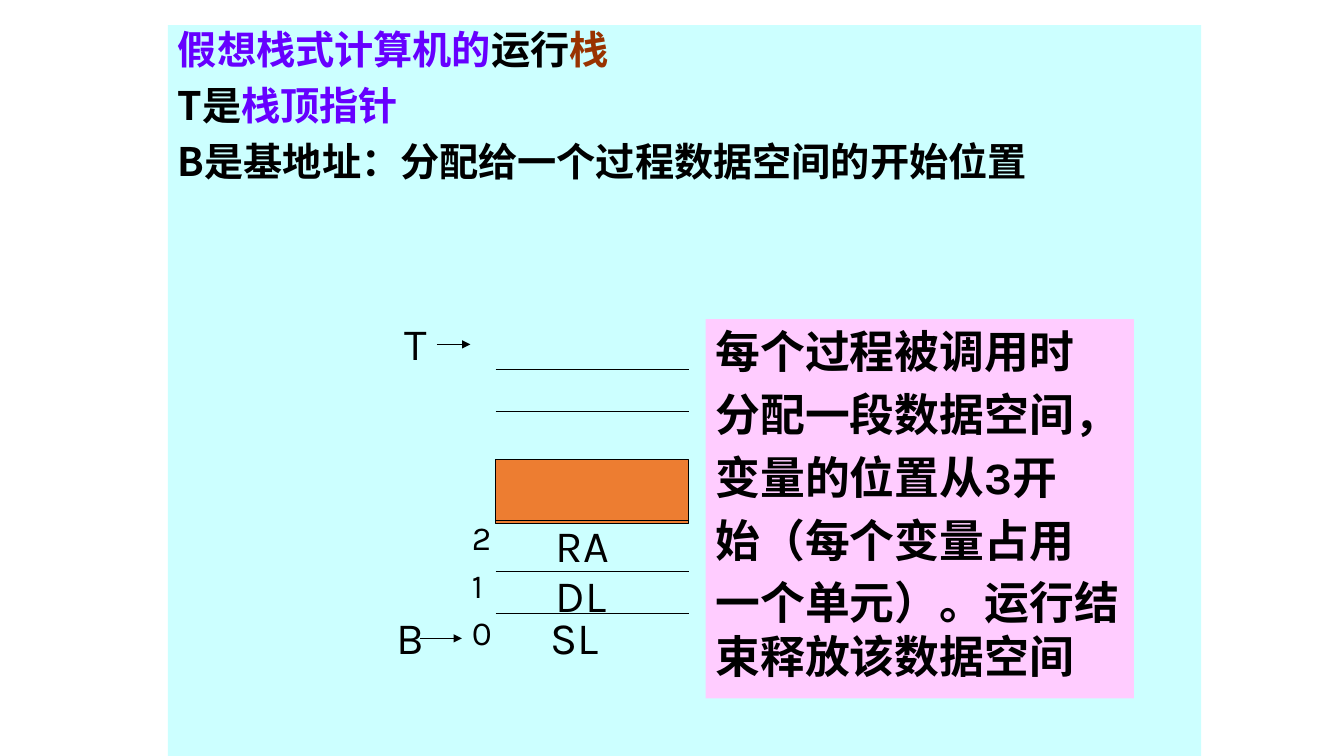
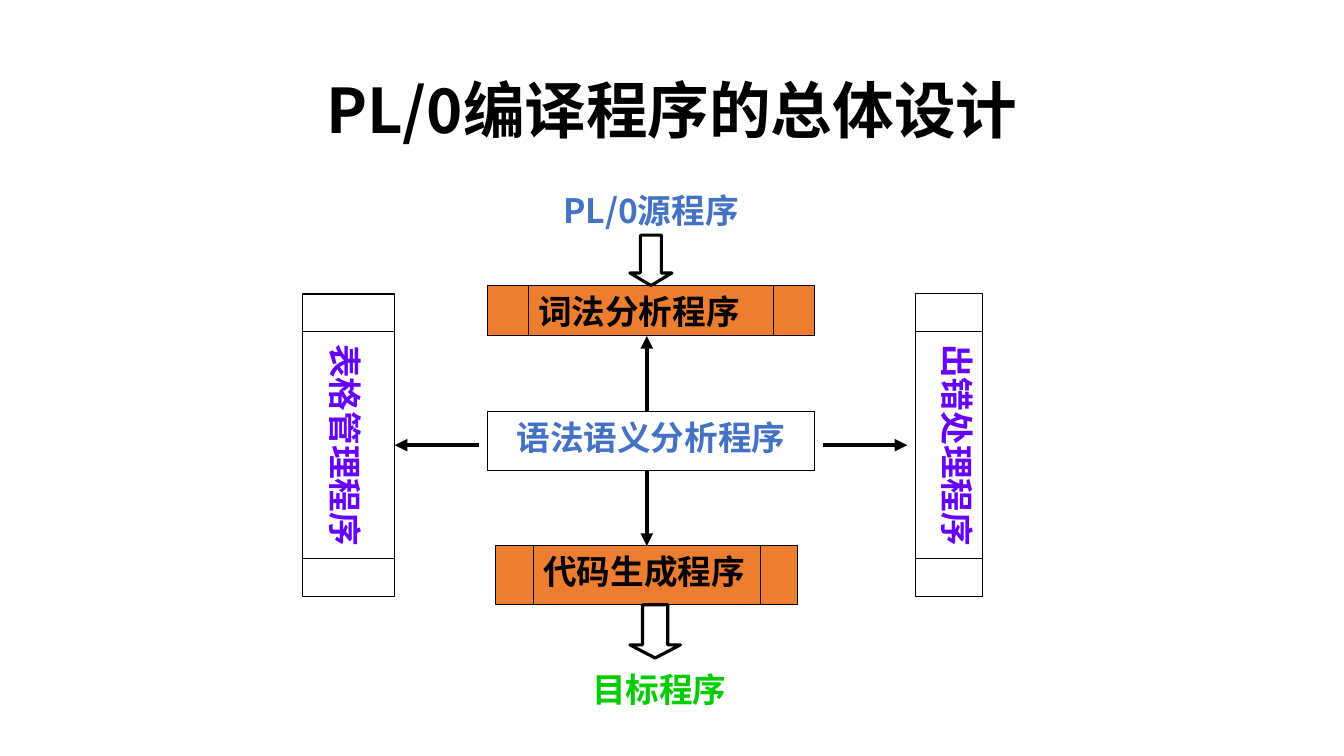
import dataclasses

import lxml.etree
import pptx
import pptx.dml.color
import pptx.enum.shapes
import pptx.enum.text
import pptx.oxml.ns
import pptx.util

Pt = pptx.util.Pt
qn = pptx.oxml.ns.qn
Shape = pptx.enum.shapes.MSO_SHAPE
Align = pptx.enum.text.PP_ALIGN
Anchor = pptx.enum.text.MSO_ANCHOR


@dataclasses.dataclass(frozen=True)
class Theme:
    # Colours
    black: str = "000000"
    white: str = "FFFFFF"
    violet: str = "6600FF"
    brown: str = "993300"
    blue: str = "4472C4"
    green: str = "00CC00"
    orange: str = "ED7D31"
    cyan: str = "CCFFFF"
    pink: str = "FFCCFF"
    # Fonts
    cjk: str = "Noto Sans CJK SC"
    latin: str = "Karla"
    serif: str = "Times New Roman"
    # Type sizes
    title: int = 44
    large: int = 32
    body: int = 28
    label: int = 24
    # Line widths
    thin: float = 0.75
    outline: float = 2.25
    thick: float = 3


THEME = Theme()


@dataclasses.dataclass(frozen=True)
class TextStyle:
    size: int
    font: str
    color: str = THEME.black
    bold: bool = True
    align: Align = Align.LEFT
    anchor: Anchor = Anchor.TOP
    before: float = 0
    spacing: float = 1
    top_inset: float = 3.6


class Deck:
    """Holds the theme, the presentation and the current slide."""

    def __init__(self, theme):
        self.theme = theme
        self.presentation = pptx.Presentation()
        self.presentation.slide_width = Pt(960)
        self.presentation.slide_height = Pt(540)
        self.slide = None

    def new_slide(self):
        blank = self.presentation.slide_layouts[6]
        self.slide = self.presentation.slides.add_slide(blank)

    def color(self, value):
        return pptx.dml.color.RGBColor.from_string(value)

    def fill_text(self, frame, paragraphs, style, wrap=True):
        """Each paragraph is a list of (text, colour) runs or a plain string."""
        frame.word_wrap = wrap
        frame.vertical_anchor = style.anchor
        frame.margin_top = Pt(style.top_inset)
        for index, runs in enumerate(paragraphs):
            paragraph = frame.add_paragraph() if index else frame.paragraphs[0]
            paragraph.alignment = style.align
            paragraph.line_spacing = style.spacing
            if index:
                paragraph.space_before = Pt(style.before)
            if isinstance(runs, str):
                runs = [(runs, style.color)]
            for text, color in runs:
                run = paragraph.add_run()
                run.text = text
                run.font.size = Pt(style.size)
                run.font.bold = style.bold
                run.font.color.rgb = self.color(color)
                run.font.name = style.font
                east_asian = lxml.etree.SubElement(run.font._element, qn("a:ea"))
                east_asian.set("typeface", self.theme.cjk)

    def text(self, box, paragraphs, style, wrap=True):
        frame = self.slide.shapes.add_textbox(*map(Pt, box)).text_frame
        self.fill_text(frame, paragraphs, style, wrap)
        if not wrap:
            frame.auto_size = pptx.enum.text.MSO_AUTO_SIZE.SHAPE_TO_FIT_TEXT

    def shape(self, kind, box, fill, line_width=0, paragraphs=(), style=None,
              rotation=0, adjustments=()):
        shape = self.slide.shapes.add_shape(kind, *map(Pt, box))
        shape.shadow.inherit = False
        shape.rotation = rotation
        shape.fill.solid()
        shape.fill.fore_color.rgb = self.color(fill)
        if line_width:
            shape.line.color.rgb = self.color(self.theme.black)
            shape.line.width = Pt(line_width)
        else:
            shape.line.fill.background()
        for index, value in enumerate(adjustments):
            shape.adjustments[index] = value
        if paragraphs:
            self.fill_text(shape.text_frame, paragraphs, style)

    def line(self, x1, y1, x2, y2, width, arrow=False):
        straight = pptx.enum.shapes.MSO_CONNECTOR.STRAIGHT
        connector = self.slide.shapes.add_connector(
            straight, Pt(x1), Pt(y1), Pt(x2), Pt(y2))
        connector.line.color.rgb = self.color(self.theme.black)
        connector.line.width = Pt(width)
        properties = connector._element.spPr
        if arrow:
            outline = properties.find(qn("a:ln"))
            lxml.etree.SubElement(outline, qn("a:tailEnd")).set("type", "triangle")
        lxml.etree.SubElement(properties, qn("a:effectLst"))


def build_stack_slide(deck):
    t = deck.theme
    deck.new_slide()

    # Introduction on the cyan panel
    introduction = TextStyle(t.body, t.cjk, before=10, spacing=0.9)
    deck.shape(Shape.RECTANGLE, (120, 18, 738, 522), t.cyan, paragraphs=[
        [("假想栈式计算机的", t.violet), ("运行", t.black), ("栈", t.brown)],
        [("T是", t.black), ("栈顶指针", t.violet)],
        "B是基地址：分配给一个过程数据空间的开始位置",
    ], style=introduction)

    # Stack cells
    stack_left, stack_width = 354, 138
    deck.shape(Shape.RECTANGLE, (stack_left, 328, stack_width, 46),
               t.orange, t.thin)
    for y in (264, 294, 372, 408, 438):
        deck.line(stack_left, y, stack_left + stack_width, y, t.thin)

    # Pointers and cell names
    cell = TextStyle(t.large, t.latin, bold=False)
    for name, left, top, width in (
            ("T", 282, 222, 33), ("B", 276, 432, 34),
            ("SL", 386, 432, 50), ("DL", 390, 402, 53), ("RA", 390, 366, 54)):
        deck.text((left, top, width, 46), [name], cell, wrap=False)
    deck.line(312, 246, 336, 246, t.thin, arrow=True)
    deck.line(300, 456, 330, 456, t.thin, arrow=True)
    offset = TextStyle(t.label, t.latin, bold=False, before=4.8)
    deck.text((330, 366, 27, 107), ["2", "1", "0"], offset, wrap=False)

    # Explanation
    explanation = TextStyle(t.large, t.latin, before=6.4)
    deck.shape(Shape.RECTANGLE, (504, 228, 306, 271), t.pink, paragraphs=[
        "每个过程被调用时",
        "分配一段数据空间，",
        "变量的位置从3开",
        "始（每个变量占用",
        "一个单元）。运行结束释放该数据空间",
    ], style=explanation)


def build_design_slide(deck):
    t = deck.theme
    deck.new_slide()

    # Title
    title = TextStyle(t.title, t.cjk, align=Align.CENTER,
                      anchor=Anchor.MIDDLE, spacing=0.9)
    deck.text((66, 29, 828, 104), ["PL/0编译程序的总体设计"], title)

    # Compiler stages
    stage = TextStyle(t.label, t.serif)
    centred = dataclasses.replace(stage, align=Align.CENTER)
    side = dataclasses.replace(centred, color=t.violet)
    predefined = Shape.FLOWCHART_PREDEFINED_PROCESS
    for kind, box, fill, name, style, rotation, width in (
            (predefined, (348, 204, 234, 36), t.orange, "词法分析程序",
             stage, 0, t.thin),
            (Shape.FLOWCHART_PROCESS, (348, 294, 234, 42), t.white,
             "语法语义分析程序", dataclasses.replace(centred, color=t.blue),
             0, t.thin),
            (predefined, (354, 390, 216, 42), t.orange, "代码生成程序",
             dataclasses.replace(stage, align=Align.JUSTIFY), 0, t.thin),
            (predefined, (141, 285, 216, 66), t.white, "表格管理程序",
             dataclasses.replace(side, top_inset=20.5), 90, 1),
            (predefined, (570, 294, 216, 48), t.white, "出错处理程序",
             side, 90, t.thin)):
        deck.shape(kind, box, fill, width, [name], style, rotation)

    # Block arrows for input and output
    for box, head in (((450, 168, 30, 36), 0.3), ((450, 432, 36, 38), 0.26)):
        deck.shape(Shape.DOWN_ARROW, box, t.white, t.outline,
                   adjustments=(0.5, head))

    # Calls from the parser
    for ends in ((462, 294, 462, 240), (342, 318, 282, 318),
                 (588, 318, 648, 318), (462, 336, 462, 390)):
        deck.line(*ends, t.thick, arrow=True)

    # Source and target programs
    for box, name, color in (((390, 132, 150, 36), "PL/0源程序", t.blue),
                             ((378, 474, 186, 36), "目标程序", t.green)):
        program = TextStyle(t.label, t.cjk, color, align=Align.CENTER)
        deck.text(box, [name], program)


def main():
    deck = Deck(THEME)
    build_stack_slide(deck)
    build_design_slide(deck)
    deck.presentation.save("out.pptx")


if __name__ == "__main__":
    main()
